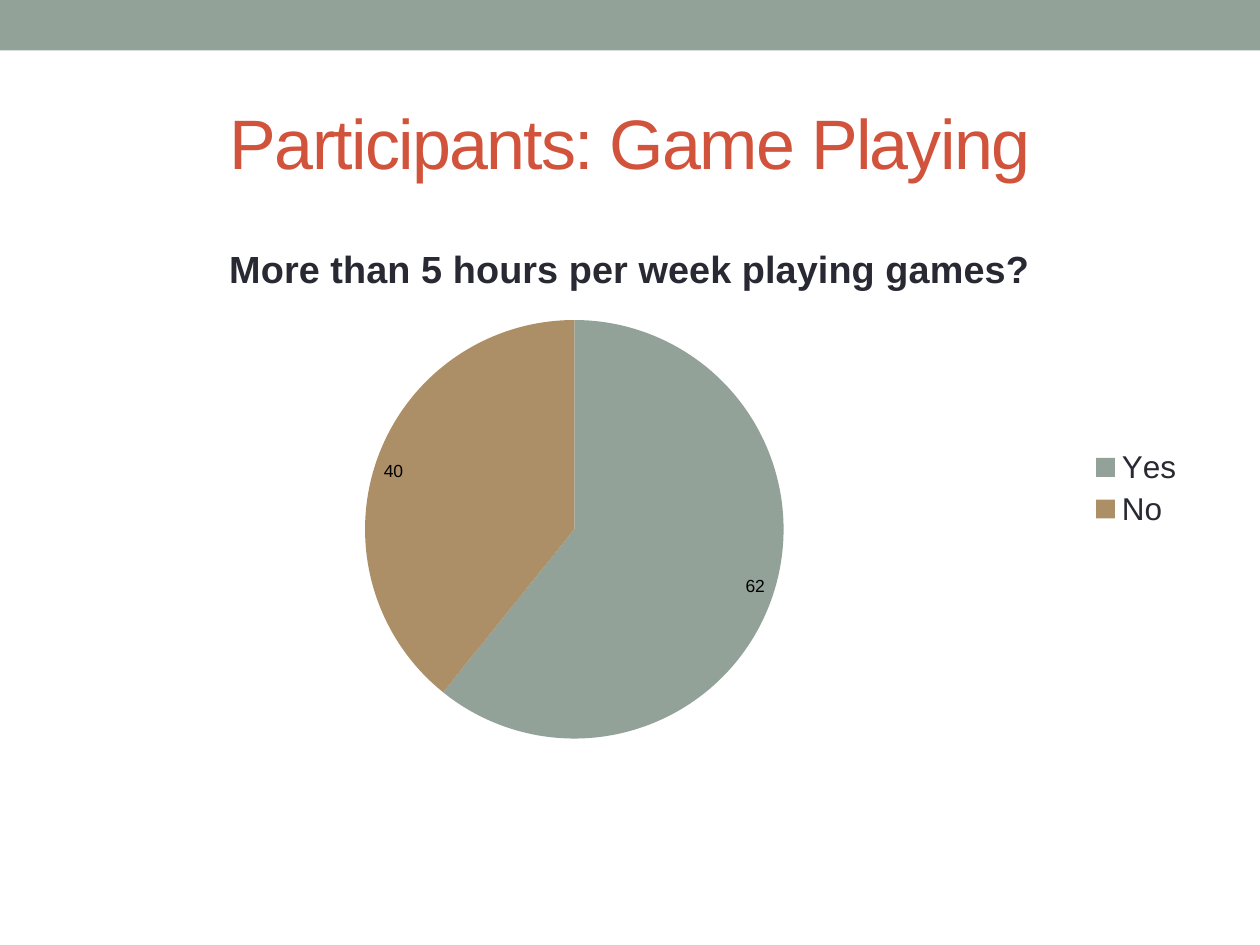
"""Build a slide with a pie chart of participants' weekly game playing."""
from dataclasses import dataclass

from pptx import Presentation
from pptx.chart.data import CategoryChartData
from pptx.dml.color import RGBColor
from pptx.enum.chart import XL_CHART_TYPE, XL_LABEL_POSITION, XL_LEGEND_POSITION
from pptx.enum.shapes import MSO_SHAPE
from pptx.enum.text import MSO_ANCHOR, MSO_AUTO_SIZE, PP_ALIGN
from pptx.util import Inches, Pt

SAGE = RGBColor(0x93, 0xA2, 0x99)
TAN = RGBColor(0xAD, 0x8F, 0x67)
RUST = RGBColor(0xD2, 0x53, 0x3C)
INK = RGBColor(0x29, 0x29, 0x34)
BLACK = RGBColor(0, 0, 0)

W, H = Inches(10), Inches(7.5)
FONT = "Arial"
QUESTION = "More than 5 hours per week playing games?"


@dataclass(frozen=True)
class Box:
    """Hold a rectangle in inches."""
    left: float
    top: float
    width: float
    height: float

    def emu(self) -> list[int]:
        """Return the rectangle as slide lengths."""
        return [Inches(v) for v in (self.left, self.top, self.width, self.height)]


@dataclass(frozen=True)
class Answer:
    """Hold one slice of the pie."""
    name: str
    count: int
    color: RGBColor


ANSWERS = [Answer("Yes", 62, SAGE), Answer("No", 40, TAN)]


def set_attrs(obj, values: dict) -> None:
    """Set each named attribute of an object."""
    for name, value in values.items():
        setattr(obj, name, value)


def style_font(font, size: float, color: RGBColor, bold: bool = False) -> None:
    """Format a font."""
    set_attrs(font, {"name": FONT, "size": Pt(size), "bold": bold})
    font.color.rgb = color


def add_band(s, box: Box) -> None:
    """Draw the band along the top edge."""
    sp = s.shapes.add_shape(MSO_SHAPE.RECTANGLE, *box.emu())
    sp.shadow.inherit = False
    sp.fill.solid()
    sp.fill.fore_color.rgb = SAGE
    sp.line.fill.background()


def set_title(s, text: str, box: Box) -> None:
    """Fill and place the title placeholder."""
    sp = s.shapes.title
    set_attrs(sp, dict(zip(("left", "top", "width", "height"), box.emu())))
    tf = sp.text_frame
    set_attrs(tf, {"word_wrap": True, "auto_size": MSO_AUTO_SIZE.NONE,
                   "vertical_anchor": MSO_ANCHOR.MIDDLE})
    p = tf.paragraphs[0]
    p.alignment = PP_ALIGN.CENTER
    r = p.add_run()
    r.text = text
    style_font(r.font, 40, RUST)
    r._r.get_or_add_rPr().set("spc", "-100")


def add_pie(s, answers: list[Answer], box: Box) -> None:
    """Draw the pie chart with its title, legend and labels."""
    data = CategoryChartData()
    data.categories = [a.name for a in answers]
    data.add_series(QUESTION, [a.count for a in answers])
    chart = s.shapes.add_chart(XL_CHART_TYPE.PIE, *box.emu(), data).chart
    style_font(chart.font, 18, INK)

    chart.has_title = True
    p = chart.chart_title.text_frame.paragraphs[0]
    r = p.add_run()
    r.text = QUESTION
    style_font(r.font, 21.6, INK, bold=True)
    chart.chart_title.include_in_layout = False

    chart.has_legend = True
    set_attrs(chart.legend, {"position": XL_LEGEND_POSITION.RIGHT,
                             "include_in_layout": False})
    style_font(chart.legend.font, 18, INK)

    plot = chart.plots[0]
    set_attrs(plot, {"vary_by_categories": True, "has_data_labels": True})
    set_attrs(plot.data_labels, {"show_value": True, "show_percentage": False,
                                 "position": XL_LABEL_POSITION.INSIDE_END})
    style_font(plot.data_labels.font, 10, BLACK)
    for i, answer in enumerate(answers):
        fmt = plot.series[0].points[i].format
        fmt.fill.solid()
        fmt.fill.fore_color.rgb = answer.color
        fmt.line.fill.background()


def main() -> None:
    """Build and save the presentation."""
    prs = Presentation()
    set_attrs(prs, {"slide_width": W, "slide_height": H})
    s = prs.slides.add_slide(prs.slide_layouts[5])
    add_band(s, Box(0, 0, 10, 0.4))
    set_title(s, "Participants: Game Playing", Box(0.5, 0.58, 9, 1.08))
    add_pie(s, ANSWERS, Box(0.5, 1.75, 9, 4.25))
    prs.save("out.pptx")


if __name__ == "__main__":
    main()
